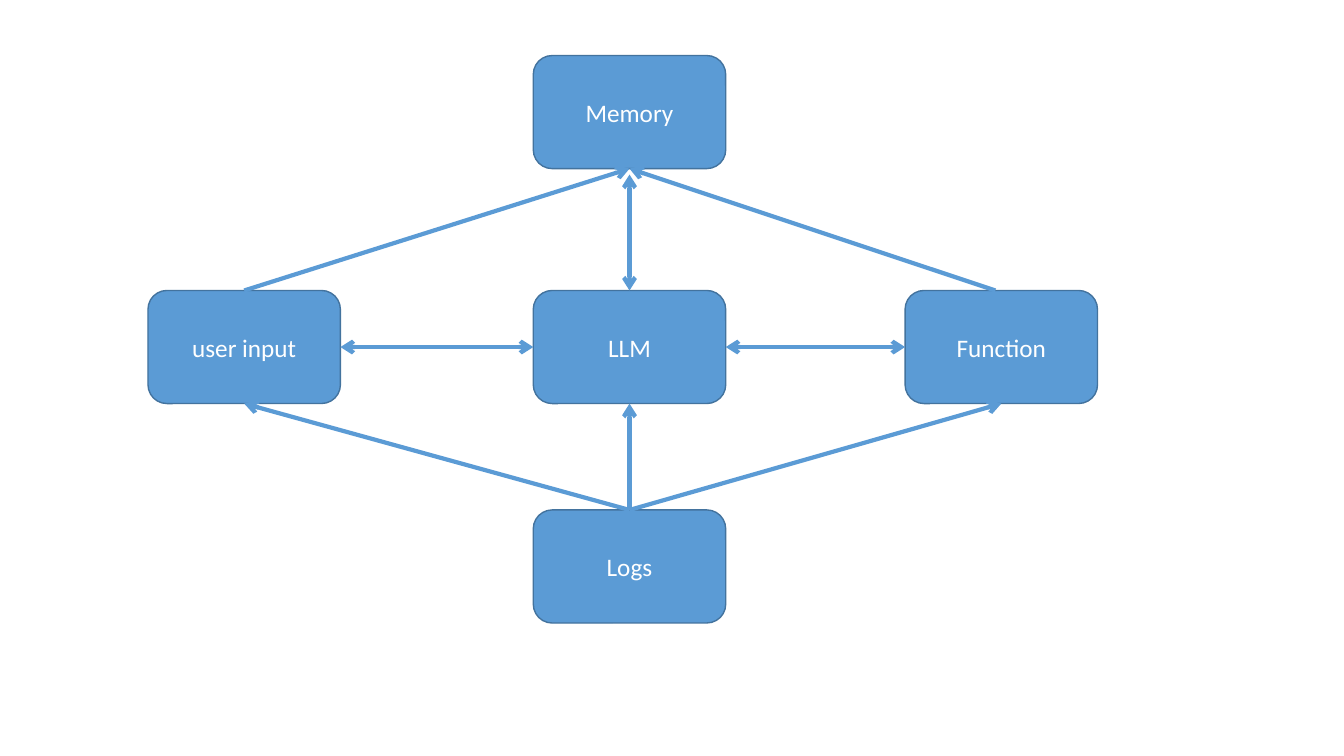
from pptx import Presentation
from pptx.dml.color import RGBColor
from pptx.enum.shapes import MSO_CONNECTOR, MSO_SHAPE
from pptx.enum.text import MSO_ANCHOR, PP_ALIGN
from pptx.oxml.ns import qn
from pptx.util import Cm, Pt
from lxml import etree

ROUNDED = MSO_SHAPE.ROUNDED_RECTANGLE
STRAIGHT = MSO_CONNECTOR.STRAIGHT
MIDDLE = MSO_ANCHOR.MIDDLE
CENTER = PP_ALIGN.CENTER

COLORS = {"node": "5B9BD5", "border": "43739E", "text": "FFFFFF"}
FONT = "Calibri"
TOP, LEFT, BOTTOM, RIGHT = range(4)
NODE_WIDTH, NODE_HEIGHT = 4.85, 2.85
COLUMNS = (0, 9.71, 19.08)
ROWS = (0, 5.92, 11.45)
NODES = {
    "user input": (0, 1),
    "LLM": (1, 1),
    "Function": (2, 1),
    "Logs": (1, 2),
    "Memory": (1, 0),
}
NO_SHIFT = (0, 0)
LINKS = [
    ("Logs", TOP, "user input", BOTTOM, False, NO_SHIFT, NO_SHIFT),
    ("Logs", TOP, "LLM", BOTTOM, False, NO_SHIFT, NO_SHIFT),
    ("Logs", TOP, "Function", BOTTOM, False, NO_SHIFT, NO_SHIFT),
    ("Function", TOP, "Memory", BOTTOM, False, (-0.15, 0), NO_SHIFT),
    ("LLM", TOP, "Memory", BOTTOM, True, NO_SHIFT, (0, 0.15)),
    ("user input", TOP, "Memory", BOTTOM, False, NO_SHIFT, NO_SHIFT),
    ("user input", RIGHT, "LLM", LEFT, True, NO_SHIFT, NO_SHIFT),
    ("LLM", RIGHT, "Function", LEFT, True, NO_SHIFT, NO_SHIFT),
]


def color(name):
    """Return the named colour of the palette."""
    return RGBColor.from_string(COLORS[name])


def add_node(slide, label, left, top):
    """Add one labelled rounded box and return it."""
    shape = slide.shapes.add_shape(
        ROUNDED, Cm(left), Cm(top), Cm(NODE_WIDTH), Cm(NODE_HEIGHT))
    shape.shadow.inherit = False
    shape.fill.solid()
    shape.fill.fore_color.rgb = color("node")
    shape.line.color.rgb = color("border")
    shape.line.width = Pt(1)
    shape.text_frame.text = label
    shape.text_frame.vertical_anchor = MIDDLE
    paragraph = shape.text_frame.paragraphs[0]
    paragraph.alignment = CENTER
    font = paragraph.runs[0].font
    font.name, font.size = FONT, Pt(18)
    font.color.rgb = color("text")
    return shape


def anchor_point(node, side, shift):
    """Return the middle of a node's side, moved by a shift in centimetres."""
    x_share, y_share = ((0.5, 0), (0, 0.5), (0.5, 1), (1, 0.5))[side]
    return (node.left + int(node.width * x_share) + Cm(shift[0]),
            node.top + int(node.height * y_share) + Cm(shift[1]))


def add_link(slide, source, source_side, target, target_side,
             two_way, source_shift, target_shift):
    """Add an arrow between two nodes, attached wherever it is not shifted."""
    connector = slide.shapes.add_connector(
        STRAIGHT,
        *anchor_point(source, source_side, source_shift),
        *anchor_point(target, target_side, target_shift))
    if source_shift == NO_SHIFT:
        connector.begin_connect(source, source_side)
    if target_shift == NO_SHIFT:
        connector.end_connect(target, target_side)
    connector.line.color.rgb = color("node")
    connector.line.width = Pt(3)
    properties = connector._element.spPr
    line = properties.find(qn("a:ln"))
    for end in ("a:headEnd", "a:tailEnd") if two_way else ("a:tailEnd",):
        etree.SubElement(line, qn(end), type="arrow")
    etree.SubElement(properties, qn("a:effectLst"))


def add_diagram(slide, left, top):
    """Place the nodes and their links from the given corner."""
    nodes = {
        label: add_node(slide, label, left + COLUMNS[column], top + ROWS[row])
        for label, (column, row) in NODES.items()
    }
    for source, source_side, target, *rest in LINKS:
        add_link(slide, nodes[source], source_side, nodes[target], *rest)


def main():
    """Build the slide and save it."""
    presentation = Presentation()
    presentation.slide_width, presentation.slide_height = Cm(33.87), Cm(19.05)
    slide = presentation.slides.add_slide(presentation.slide_layouts[6])
    add_diagram(slide, 3.73, 1.4)
    presentation.save("out.pptx")


main()
